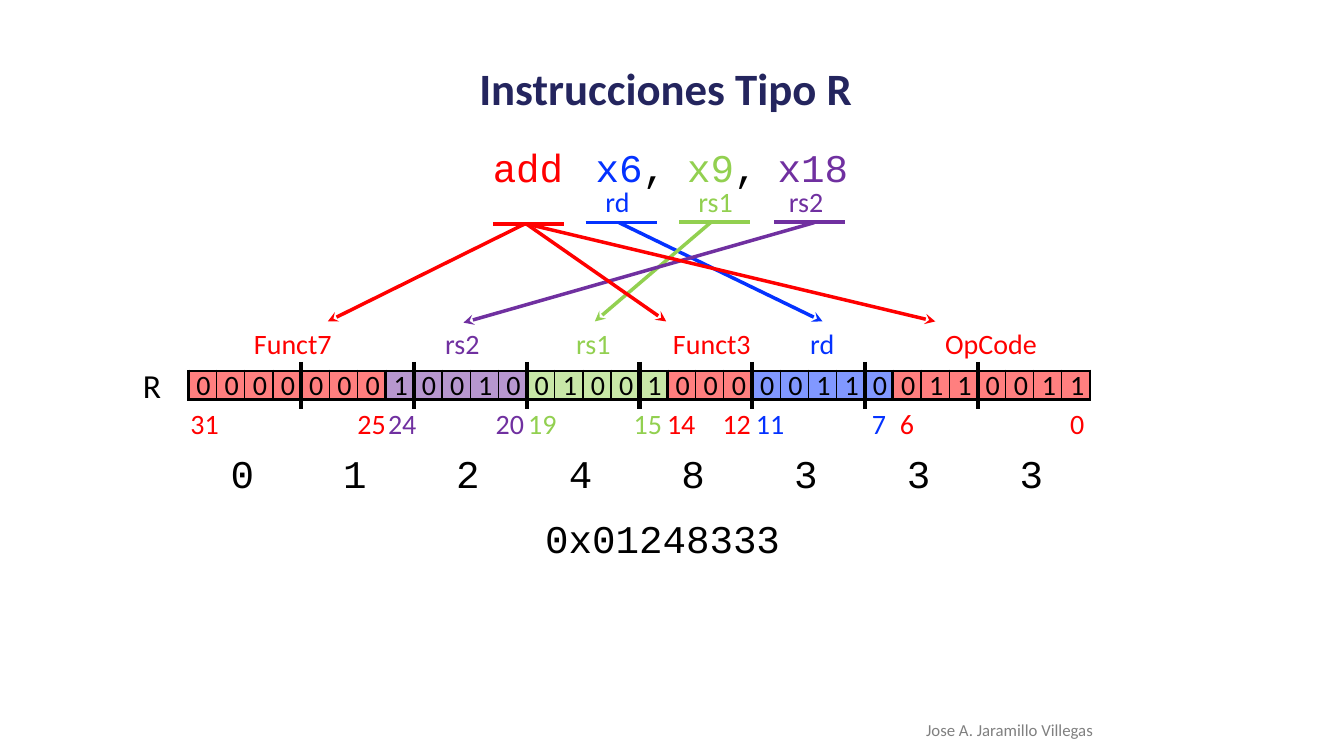
from lxml import etree
from pptx import Presentation, util as u
from pptx.dml.color import RGBColor
from pptx.enum import shapes, text
from pptx.oxml import parse_xml
from pptx.oxml.ns import nsdecls, qn

C = {"red": "FF0000", "blue": "0432FF", "green": "92D050", "purple": "7030A0",
     "black": "000000", "navy": "24255E", "gray": "808080"}
SANS, MONO = "Calibri", "Courier New"
BIT = 22.73 / 32                      # width of one bit cell
LEFT, TOP = 4.75, 9.35                # corner of the 32-bit word

prs = Presentation()
prs.slide_width, prs.slide_height = u.Cm(33.87), u.Cm(19.05)
s = prs.slides.add_slide(prs.slide_layouts[5])


def label(x, y, w, h, words, color, size=20, font=SANS):
    tf = s.shapes.add_textbox(u.Cm(x), u.Cm(y), u.Cm(w), u.Cm(h)).text_frame
    tf.word_wrap = False
    tf.auto_size = text.MSO_AUTO_SIZE.SHAPE_TO_FIT_TEXT
    p = tf.paragraphs[0]
    p.font.size, p.font.name = u.Pt(size), font
    # A trailing comma is always black
    word = words.rstrip(",")
    for part, c in ((word, color), (words[len(word):], "black")):
        if part:
            r = p.add_run()
            r.text = part
            r.font.color.rgb = RGBColor.from_string(C[c])


def line(x1, y1, x2, y2, color, width=2.5, arrow=False):
    cx = s.shapes.add_connector(shapes.MSO_CONNECTOR.STRAIGHT,
                                u.Cm(x1), u.Cm(y1), u.Cm(x2), u.Cm(y2))
    cx.line.color.rgb = RGBColor.from_string(C[color])
    cx.line.width = u.Pt(width)
    if arrow:
        etree.SubElement(cx.element.spPr.find(qn("a:ln")), qn("a:tailEnd"), type="stealth")
    etree.SubElement(cx.element.spPr, qn("a:effectLst"))


# Title
title = s.shapes.title
title.left, title.top, title.width, title.height = map(u.Cm, (11, 1.22, 11.56, 2.13))
tf = title.text_frame
tf.text = "Instrucciones Tipo R"
tf.vertical_anchor = text.MSO_ANCHOR.MIDDLE
p = tf.paragraphs[0]
p.alignment, p.line_spacing = text.PP_ALIGN.CENTER, 0.9
p.font.size, p.font.name, p.font.bold = u.Pt(32), SANS, True
p.font.color.rgb = RGBColor.from_string(C["navy"])

# Instruction: text, left, colour, operand role, role left, underline left and height
operands = [("add", 12.17, "red", "", 0, 12.42, 5.64),
            ("x6,", 14.76, "blue", "rd", 15.01, 14.76, 5.61),
            ("x9,", 17.07, "green", "rs1", 17.35, 17.12, 5.59),
            ("x18", 19.35, "purple", "rs2", 19.63, 19.51, 5.59)]
for words, x, color, role, role_x, line_x, line_y in operands:
    label(x, 3.48, 2.31, 1.45, words, color, 28, MONO)
    if role:
        label(role_x, 4.52, 1.12 if role == "rd" else 1.4, 1.12, role, color)
    line(line_x, line_y, line_x + 1.79, line_y, color)

# Arrows from each operand to its field
for x1, y1, x2, y2, color in [(15.6, 5.61, 20.73, 8.1, "blue"),
                              (17.93, 5.59, 14.99, 8.1, "green"),
                              (20.52, 5.61, 11.68, 8.13, "purple"),
                              (13.26, 5.64, 23.57, 8.1, "red"),
                              (13.26, 5.64, 16.79, 8.1, "red"),
                              (13.23, 5.64, 8.26, 8.1, "red")]:
    line(x1, y1, x2, y2, color, arrow=True)

# Fields: name, colour, bits, name left and width, left of high and low bit numbers
fields = [("Funct7", "red", "0000000", 6.15, 2.49, 4.55, 8.76),
          ("rs2", "purple", "10010", 10.97, 1.4, 9.53, 12.24),
          ("rs1", "green", "01001", 14.27, 1.4, 13.06, 15.72),
          ("Funct3", "red", "000", 16.71, 2.49, 16.56, 17.96),
          ("rd", "blue", "00110", 20.17, 1.12, 18.8, 21.72),
          ("OpCode", "red", "0110011", 23.57, 2.84, 22.43, 26.72)]
table = s.shapes.add_table(1, 32, u.Cm(LEFT), u.Cm(TOP), u.Cm(32 * BIT), u.Cm(0.71)).table
table.first_row = table.horz_banding = False
for col in table.columns:
    col.width = u.Cm(BIT)

label(3.35, 9.07, 0.97, 1.27, "R", "black", 24)
i = 0
for name, color, bits, name_x, name_w, high_x, low_x in fields:
    label(name_x, 8.1, name_w, 1.12, name, color)
    for number, x in ((31 - i, high_x), (32 - i - len(bits), low_x)):
        label(x, 10.11, 1.24 if number > 9 else 0.86, 1.12, str(number), color)
    for k, bit in enumerate(bits):
        cell = table.cell(0, i)
        cell.margin_left = cell.margin_right = cell.margin_top = cell.margin_bottom = 0
        etree.SubElement(cell.text_frame.paragraphs[0]._p, qn("a:endParaRPr"), sz="800")
        cell.fill.solid()
        cell.fill.fore_color.rgb = RGBColor.from_string(C[color])
        tcPr = cell._tc.tcPr
        etree.SubElement(tcPr.find(".//" + qn("a:srgbClr")), qn("a:alpha"), val="50000")
        # Thick outline around each field, thin lines between its bits
        borders = {"L": 2.25 if k == 0 else 1,
                   "R": 2.25 if k == len(bits) - 1 else 1, "T": 2.25, "B": 2.25}
        for n, (side, width) in enumerate(borders.items()):
            tcPr.insert(n, parse_xml(
                f'<a:ln{side} {nsdecls("a")} w="{u.Pt(width)}"><a:solidFill>'
                f'<a:srgbClr val="{C["black"]}"/></a:solidFill></a:ln{side}>'))
        label(LEFT - 0.05 + i * BIT, 9.14, 0.86, 1.12, bit, "black")
        i += 1

# Hexadecimal digits, one for every four bits
for n, digit in enumerate("01248333"):
    label(5.56 + n * 4 * BIT, 11.2, 1.12, 1.45, digit, "black", 28, MONO)
    if n:
        x = LEFT + n * 4 * BIT
        line(x, 9.12, x, 10.31, "black", 3)
label(13.49, 12.83, 6.48, 1.45, "0x01248333", "black", 28, MONO)

# Author
label(23.09, 18.01, 4.78, 0.76, "Jose A. Jaramillo Villegas", "gray", 12)

prs.save("out.pptx")
